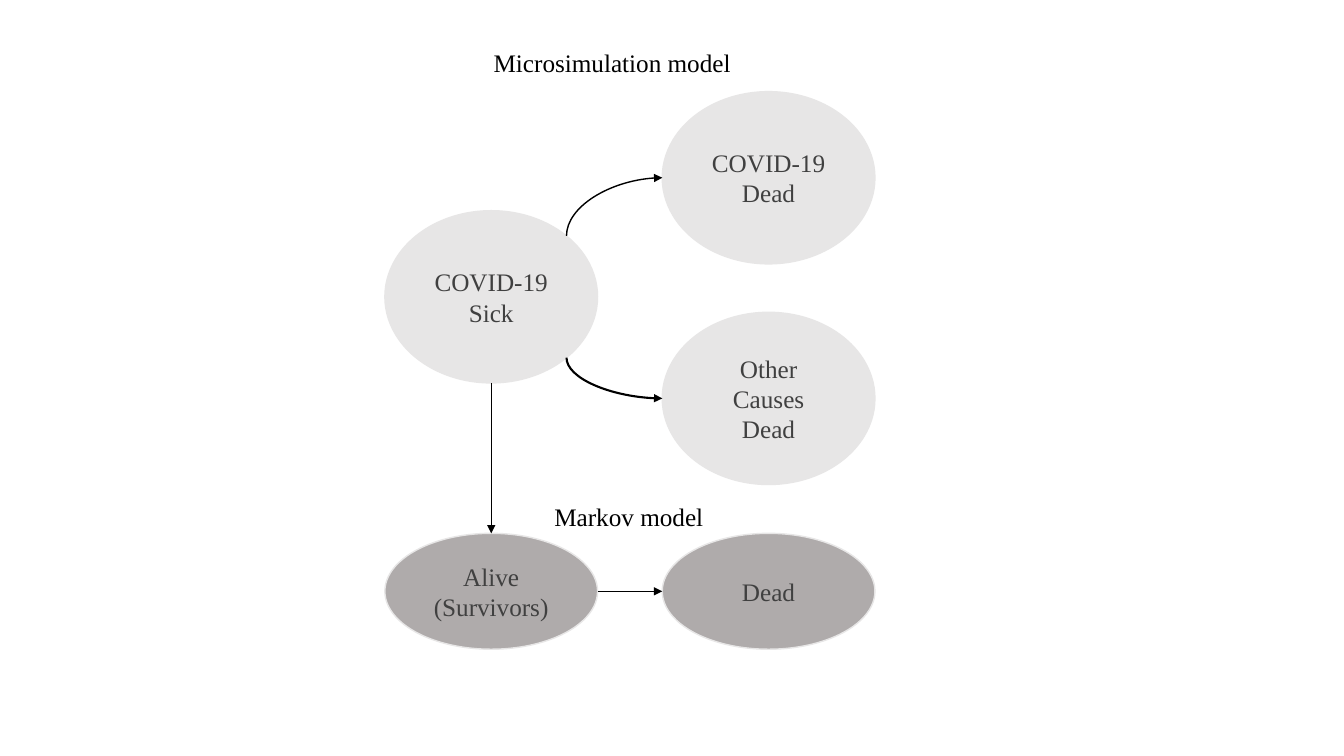
"""Build the state-transition diagram of a COVID-19 microsimulation and Markov model."""
import math
from typing import NamedTuple

from lxml import etree
from pptx import Presentation
from pptx import util as u
from pptx.dml.color import RGBColor
from pptx.enum import shapes, text
from pptx.oxml import ns

COLORS = {"micro": "E7E6E6", "markov": "AFABAB", "outline": "E7E6E6",
          "state_text": "404040", "ink": "000000"}
FONT, FONT_SIZE = "Times New Roman", u.Pt(18)
STATE_WIDTH = 5.36
HEIGHTS = {"micro": 4.34, "markov": 2.92}
LEFT_COLUMN, RIGHT_COLUMN = 9.7, 16.69
MARKOV_ROW = 13.44
# Connection sites of an ellipse, counted counter-clockwise from the top
TOP, LEFT, BOTTOM, LOWER_RIGHT, RIGHT, UPPER_RIGHT = 0, 2, 4, 5, 6, 7


class State(NamedTuple):
    """A health state; lengths in centimetres."""
    label: str
    model: str
    left: float
    top: float


class Transition(NamedTuple):
    """An arrow between connection sites of two states."""
    source: str
    source_site: int
    target: str
    target_site: int
    curved: bool = False
    weight: float = 1


class Caption(NamedTuple):
    """The name of a model; lengths in centimetres."""
    label: str
    left: float
    top: float
    width: float


STATES = [
    State("COVID-19 Sick", "micro", LEFT_COLUMN, 5.31),
    State("Alive (Survivors)", "markov", LEFT_COLUMN, MARKOV_ROW),
    State("COVID-19 Dead", "micro", RIGHT_COLUMN, 2.31),
    State("Other Causes Dead", "micro", RIGHT_COLUMN, 7.87),
    State("Dead", "markov", RIGHT_COLUMN, MARKOV_ROW),
]
TRANSITIONS = [
    Transition("COVID-19 Sick", LOWER_RIGHT, "Other Causes Dead", LEFT, True, 1.5),
    Transition("COVID-19 Sick", UPPER_RIGHT, "COVID-19 Dead", LEFT, True),
    Transition("COVID-19 Sick", BOTTOM, "Alive (Survivors)", TOP),
    Transition("Alive (Survivors)", RIGHT, "Dead", LEFT),
]
CAPTIONS = [
    Caption("Microsimulation model", 12.19, 1.07, 6.55),
    Caption("Markov model", 13.72, 12.5, 4.29),
]


def rgb(name: str) -> RGBColor:
    """Return a colour of the palette."""
    return RGBColor.from_string(COLORS[name])


def write(frame, label: str, color: str) -> None:
    """Add one formatted run to a text frame."""
    run = frame.paragraphs[0].add_run()
    run.text = label
    run.font.name, run.font.size = FONT, FONT_SIZE
    run.font.color.rgb = rgb(color)


def draw_state(slide, state: State):
    """Draw a health state as a labelled ellipse."""
    ellipse = slide.shapes.add_shape(
        shapes.MSO_SHAPE.OVAL, u.Cm(state.left), u.Cm(state.top),
        u.Cm(STATE_WIDTH), u.Cm(HEIGHTS[state.model]))
    ellipse.shadow.inherit = False
    ellipse.fill.solid()
    ellipse.fill.fore_color.rgb = rgb(state.model)
    ellipse.line.color.rgb = rgb("outline")
    ellipse.line.width = u.Pt(1)
    frame = ellipse.text_frame
    frame.word_wrap = True
    frame.vertical_anchor = text.MSO_ANCHOR.MIDDLE
    frame.paragraphs[0].alignment = text.PP_ALIGN.CENTER
    write(frame, state.label, "state_text")
    return ellipse


def site_point(ellipse, site: int) -> tuple[float, float]:
    """Return the position of a connection site on an ellipse."""
    angle = site * math.pi / 4
    return (ellipse.left + ellipse.width / 2 * (1 - math.sin(angle)),
            ellipse.top + ellipse.height / 2 * (1 - math.cos(angle)))


def add_curve(slide, x1: float, y1: float, x2: float, y2: float):
    """Add a quarter curve that leaves vertically and arrives from the left."""
    downward = y2 > y1
    center_x, center_y = (x1 + x2) / 2, (y1 + y2) / 2
    # The preset leaves horizontally, so its box is turned by a quarter
    half_width = abs(y2 - y1) / 2
    half_height = (x2 - x1) / 2 * (1 if downward else -1)
    curve = slide.shapes.add_connector(
        shapes.MSO_CONNECTOR.CURVE,
        round(center_x + half_width), round(center_y - half_height),
        round(center_x - half_width), round(center_y + half_height))
    properties = curve.element.spPr
    properties.find(ns.qn("a:xfrm")).set("rot", str((270 if downward else 90) * 60000))
    properties.find(ns.qn("a:prstGeom")).set("prst", "curvedConnector2")
    return curve


def draw_transition(slide, transition: Transition, ellipses: dict) -> None:
    """Draw an arrow and attach both of its ends."""
    ends = [("a:stCxn", ellipses[transition.source], transition.source_site),
            ("a:endCxn", ellipses[transition.target], transition.target_site)]
    start, finish = (site_point(ellipse, site) for _, ellipse, site in ends)
    if transition.curved:
        arrow = add_curve(slide, *start, *finish)
    else:
        arrow = slide.shapes.add_connector(
            shapes.MSO_CONNECTOR.STRAIGHT, *map(round, start + finish))
    arrow.line.color.rgb = rgb("ink")
    arrow.line.width = u.Pt(transition.weight)
    properties = arrow.element.spPr
    etree.SubElement(properties.find(ns.qn("a:ln")), ns.qn("a:tailEnd"), type="triangle")
    etree.SubElement(properties, ns.qn("a:effectLst"))
    attachments = next(arrow.element.iter(ns.qn("p:cNvCxnSpPr")))
    for tag, ellipse, site in ends:
        etree.SubElement(attachments, ns.qn(tag), id=str(ellipse.shape_id), idx=str(site))


def draw_caption(slide, caption: Caption) -> None:
    """Write the name of a model."""
    box = slide.shapes.add_textbox(
        u.Cm(caption.left), u.Cm(caption.top), u.Cm(caption.width), u.Cm(1.02))
    box.text_frame.word_wrap = False
    box.text_frame.auto_size = text.MSO_AUTO_SIZE.SHAPE_TO_FIT_TEXT
    write(box.text_frame, caption.label, "ink")


def main() -> None:
    """Build and save the slide."""
    deck = Presentation()
    deck.slide_width, deck.slide_height = u.Cm(33.87), u.Cm(19.05)
    slide = deck.slides.add_slide(deck.slide_layouts.get_by_name("Blank"))
    ellipses = {state.label: draw_state(slide, state) for state in STATES}
    for transition in TRANSITIONS:
        draw_transition(slide, transition, ellipses)
    for caption in CAPTIONS:
        draw_caption(slide, caption)
    deck.save("out.pptx")


main()
